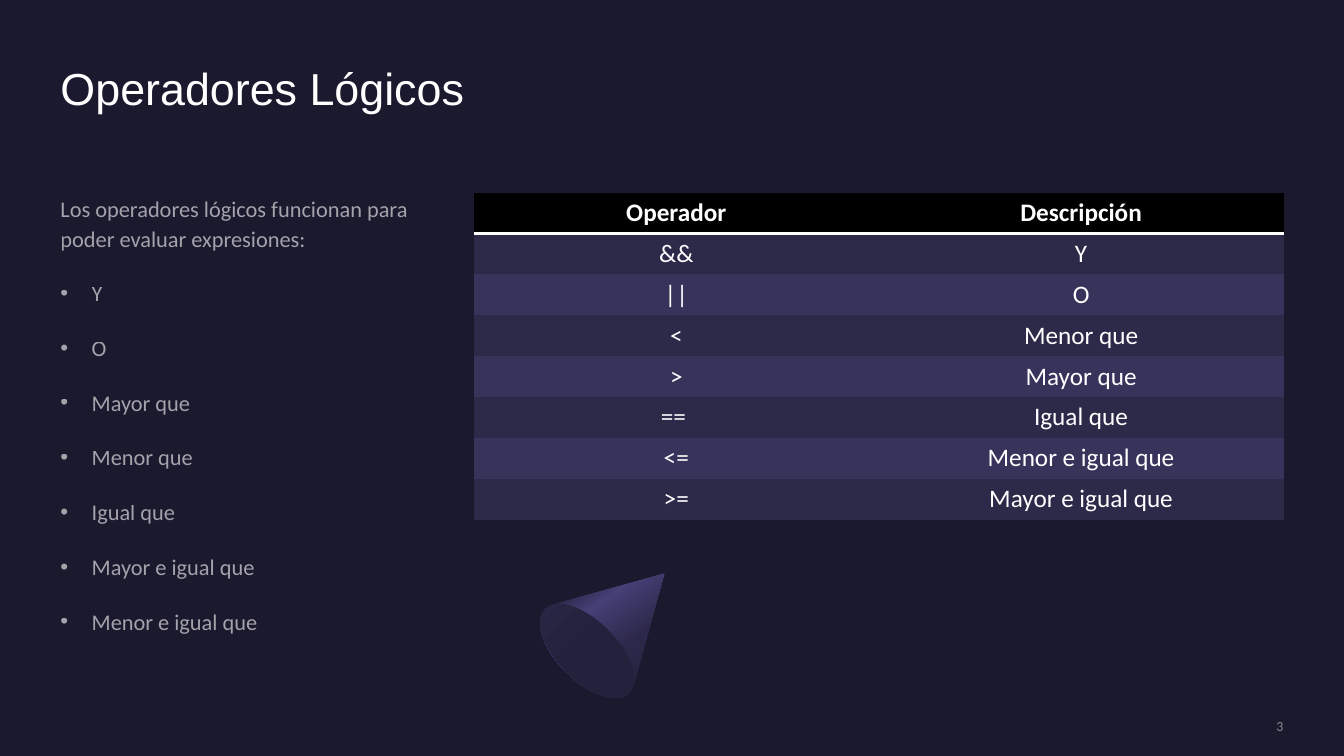
import math
from dataclasses import dataclass

from lxml import etree
from pptx import Presentation
from pptx.dml.color import RGBColor
from pptx.enum import shapes, text
from pptx.oxml import ns
from pptx.util import Inches, Pt


@dataclass(frozen=True)
class Theme:
    """Colours, fonts and type sizes of the slide."""
    background: str = "1B192E"
    white: str = "FFFFFF"
    number: str = "A6A6A6"
    header: str = "000000"
    bands: tuple = ("2C2949", "37335B")
    cone: tuple = ((30, "2C284A"), (40, "454075"), (60, "2C284A"), (100, "1B192E"))
    base: tuple = ((50, "23213C"), (100, "2C284A"))
    heading_font: str = "Arial"
    body_font: str = "Calibri"
    title_size: int = 32
    table_size: int = 18
    body_size: int = 16
    number_size: int = 10


THEME = Theme()
NO_TABLE_STYLE = "{2D5ABB26-0587-4C30-8999-92F81FD0307C}"
INTRO = "Los operadores lógicos funcionan para poder evaluar expresiones:"
BULLETS = ["Y", "O", "Mayor que", "Menor que", "Igual que",
           "Mayor e igual que", "Menor e igual que"]
OPERATORS = [("Operador", "Descripción"), ("&&", "Y"), ("||", "O"),
             ("<", "Menor que"), (">", "Mayor que"), ("== ", "Igual que"),
             ("<=", "Menor e igual que"), (">=", "Mayor e igual que")]


def add_xml(parent, tag, **attributes):
    """Append a drawing element to parent and return it."""
    return etree.SubElement(parent, ns.qn(tag), attributes)


def style_runs(paragraph, size, color=THEME.white, font=THEME.body_font,
               bold=False, alpha=None):
    """Format every run of a paragraph."""
    for span in paragraph.runs:
        span.font.size = Pt(size)
        span.font.name = font
        span.font.bold = bold
        span.font.color.rgb = RGBColor.from_string(color)
        if alpha is not None:
            for node in span._r.iter(ns.qn("a:srgbClr")):
                add_xml(node, "a:alpha", val=str(alpha * 1000))


def prepare_frame(box, anchor):
    """Give a text shape wrapping, no margins and an anchor."""
    frame = box.text_frame
    frame.word_wrap = True
    frame.auto_size = text.MSO_AUTO_SIZE.NONE
    frame.vertical_anchor = anchor
    frame.margin_left = frame.margin_right = frame.margin_top = frame.margin_bottom = 0
    return frame


def set_gradient(shape, stops, angle):
    """Fill a shape with gradient stops at a clockwise angle; remove its line."""
    shape.shadow.inherit = False
    shape.line.fill.background()
    shape.fill.gradient()
    shape.fill.gradient_angle = -angle % 360
    stop_list = next(shape._element.iter(ns.qn("a:gsLst")))
    for stop in list(stop_list):
        stop_list.remove(stop)
    for position, color in stops:
        stop = add_xml(stop_list, "a:gs", pos=str(position * 1000))
        add_xml(stop, "a:srgbClr", val=color)


def add_cone(page):
    """Draw the tilted cone: an upright side turned 45 degrees, then its base."""
    center_x, tip_y, base_y = 6.1, 5.49, 6.57
    radius_x, radius_y = 0.59, 0.3
    start, steps = -0.2, 48
    angles = [start + (math.pi - 2 * start) * step / steps for step in range(steps + 1)]
    rim = [(Inches(center_x + radius_x * math.cos(angle)),
            Inches(base_y + radius_y * math.sin(angle))) for angle in angles]
    builder = page.shapes.build_freeform(Inches(center_x), Inches(tip_y))
    builder.add_line_segments(rim, close=True)
    side = builder.convert_to_shape()
    side.rotation = 45
    set_gradient(side, THEME.cone, 10)

    base = page.shapes.add_shape(shapes.MSO_SHAPE.OVAL, Inches(5.53), Inches(5.87),
                                 Inches(0.59), Inches(1.18))
    base.rotation = 135
    set_gradient(base, THEME.base, 90)


def add_title(page, wording):
    """Place and format the title placeholder."""
    title = page.shapes.title
    title.left, title.top = Inches(0.6), Inches(0.6)
    title.width, title.height = Inches(12.13), Inches(1.08)
    frame = prepare_frame(title, text.MSO_ANCHOR.TOP)
    frame.text = wording
    frame.paragraphs[0].alignment = text.PP_ALIGN.LEFT
    style_runs(frame.paragraphs[0], THEME.title_size, font=THEME.heading_font)


def add_explanation(page, intro, bullets):
    """Add the introduction and its bulleted list."""
    box = page.shapes.add_textbox(Inches(0.6), Inches(1.91), Inches(3.9), Inches(4.75))
    frame = prepare_frame(box, text.MSO_ANCHOR.TOP)
    frame.text = "\n".join([intro, *bullets])
    indent = Inches(0.31)
    for index, paragraph in enumerate(frame.paragraphs):
        paragraph.line_spacing = 1.1
        paragraph.space_before, paragraph.space_after = Pt(10), Pt(8)
        style_runs(paragraph, THEME.body_size, alpha=60)
        if index:
            properties = paragraph._p.get_or_add_pPr()
            properties.set("marL", str(indent))
            properties.set("indent", str(-indent))
            add_xml(properties, "a:buFont", typeface="Arial")
            add_xml(properties, "a:buChar", char="•")


def add_bottom_border(cell, color, width):
    """Draw a solid line under a table cell."""
    line = etree.Element(ns.qn("a:lnB"), w=str(Pt(width)))
    add_xml(add_xml(line, "a:solidFill"), "a:srgbClr", val=color)
    cell._tc.get_or_add_tcPr().insert(0, line)


def add_operator_table(page, rows):
    """Add the table of operators with a header and banded rows."""
    row_height = Inches(0.405)
    frame = page.shapes.add_table(len(rows), len(rows[0]), Inches(4.7), Inches(1.91),
                                  Inches(8.03), row_height * len(rows))
    table = frame.table
    next(table._tbl.iter(ns.qn("a:tableStyleId"))).text = NO_TABLE_STYLE
    for row_index, values in enumerate(rows):
        is_header = row_index == 0
        color = THEME.header if is_header else THEME.bands[(row_index - 1) % 2]
        for column_index, value in enumerate(values):
            cell = table.cell(row_index, column_index)
            cell.text = value
            cell.fill.solid()
            cell.fill.fore_color.rgb = RGBColor.from_string(color)
            paragraph = cell.text_frame.paragraphs[0]
            paragraph.alignment = text.PP_ALIGN.CENTER
            style_runs(paragraph, THEME.table_size, bold=is_header)
            if is_header:
                add_bottom_border(cell, THEME.white, 2)
            else:
                cell.vertical_anchor = text.MSO_ANCHOR.MIDDLE


def add_page_number(page, number):
    """Add the page number at the lower right."""
    box = page.shapes.add_textbox(Inches(10.88), Inches(7.12), Inches(1.85), Inches(0.17))
    frame = prepare_frame(box, text.MSO_ANCHOR.MIDDLE)
    frame.text = str(number)
    frame.paragraphs[0].alignment = text.PP_ALIGN.RIGHT
    style_runs(frame.paragraphs[0], THEME.number_size, THEME.number, alpha=80)


def main():
    """Build and save the slide."""
    deck = Presentation()
    deck.slide_width, deck.slide_height = Inches(13.33), Inches(7.5)
    page = deck.slides.add_slide(deck.slide_layouts.get_by_name("Title Only"))
    page.background.fill.solid()
    page.background.fill.fore_color.rgb = RGBColor.from_string(THEME.background)
    add_cone(page)
    add_title(page, "Operadores Lógicos")
    add_explanation(page, INTRO, BULLETS)
    add_operator_table(page, OPERATORS)
    add_page_number(page, 3)
    deck.save("out.pptx")


main()
